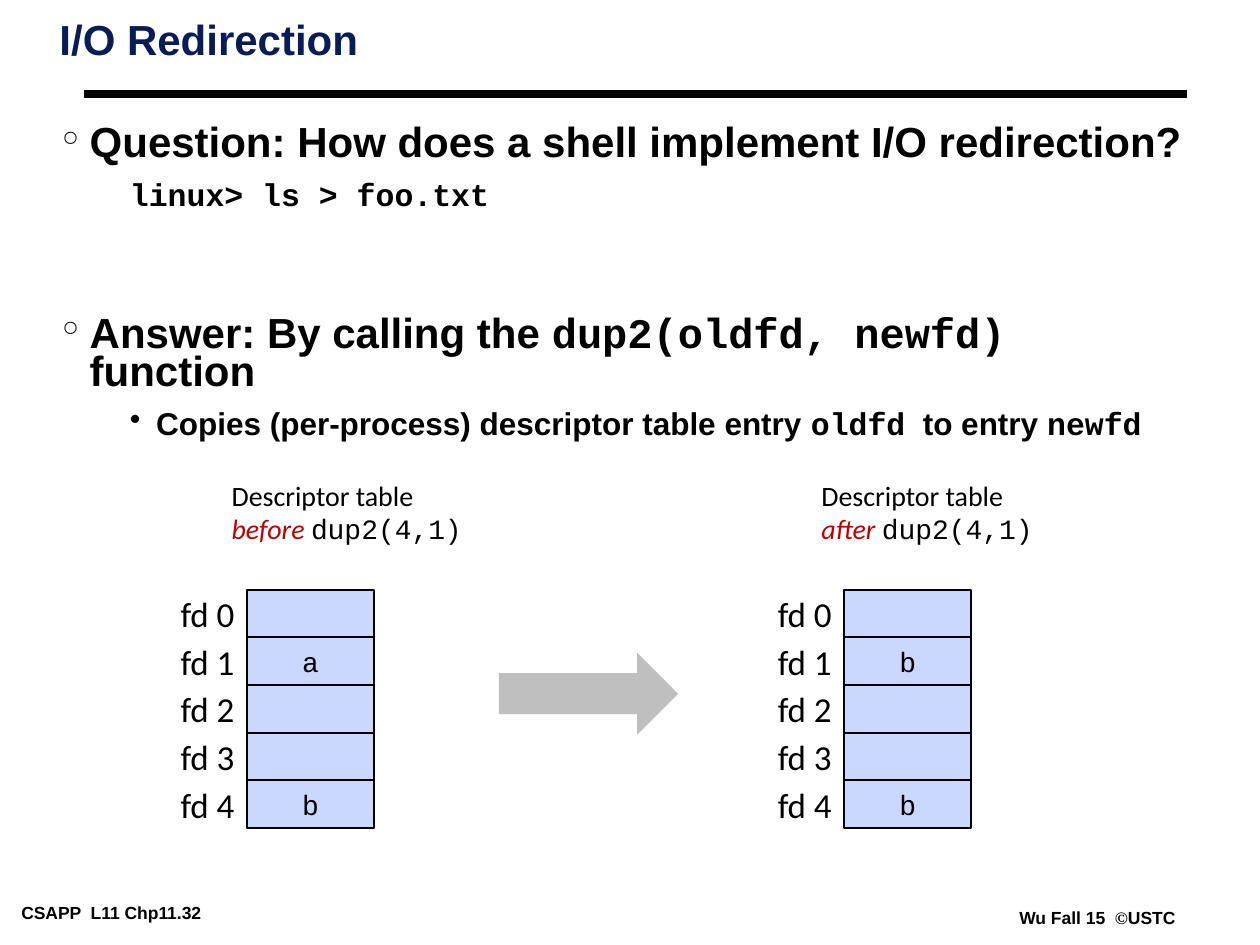
from lxml.etree import SubElement
from pptx import Presentation
from pptx.dml.color import RGBColor
from pptx.enum.shapes import MSO_CONNECTOR as Connector, MSO_SHAPE as Shape
from pptx.enum.text import MSO_ANCHOR as Anchor, PP_ALIGN as Align
from pptx.oxml.ns import qn
from pptx.util import Cm, Pt

BLACK = RGBColor(0x00, 0x00, 0x00)
NAVY = RGBColor(0x08, 0x1D, 0x58)
RED = RGBColor(0xC0, 0x00, 0x00)
PALE_BLUE = RGBColor(0xCA, 0xD7, 0xFE)
GREY = RGBColor(0xBF, 0xBF, 0xBF)

SANS, MONO, LABEL, SERIF = "Arial", "Courier New", "Calibri", "Times New Roman"

TABLE_TOP = 11.89
CELL_WIDTH, CELL_HEIGHT = 2.56, 0.96


def write_spans(para, spans, size, bold=False, color=BLACK):
    """Fill a paragraph from (text, font name) pairs."""
    for text, font_name in spans:
        span = para.add_run()
        span.text = text
        font = span.font
        font.name, font.size, font.bold = font_name, Pt(size), bold
        font.color.rgb = color


def set_insets(frame, side, end):
    frame.margin_left = frame.margin_right = Cm(side)
    frame.margin_top = frame.margin_bottom = Cm(end)


def add_text_box(page, left, top, width, height, wrap=False):
    frame = page.shapes.add_textbox(Cm(left), Cm(top), Cm(width), Cm(height)).text_frame
    frame.word_wrap = wrap
    set_insets(frame, 0.18, 0.08)
    return frame


def set_bullet(para, left, hanging, symbol):
    properties = para._p.get_or_add_pPr()
    properties.set("marL", str(Cm(left)))
    properties.set("indent", str(-Cm(hanging)))
    if symbol:
        color = SubElement(properties, qn("a:buClr"))
        SubElement(color, qn("a:srgbClr"), val=str(BLACK))
        SubElement(properties, qn("a:buChar"), char=symbol)
    else:
        SubElement(properties, qn("a:buNone"))


def add_heading(para, spans, space_before=None):
    set_bullet(para, 0.56, 0.56, "°")
    para.line_spacing = 0.75
    if space_before:
        para.space_before = Pt(space_before)
    write_spans(para, spans, 24, bold=True)


def add_detail(para, spans, symbol=None):
    para.level = 1
    set_bullet(para, 1.9, 0.53, symbol)
    para.line_spacing = 0.85
    para.space_before = Pt(9)
    write_spans(para, spans, 18, bold=True)


def add_title(page):
    para = add_text_box(page, 1.02, 0.33, 21.08, 2.11, wrap=True).paragraphs[0]
    para.line_spacing = 0.87
    write_spans(para, [("I/O Redirection", SANS)], 24, bold=True, color=NAVY)


def add_rule(page):
    rule = page.shapes.add_connector(
        Connector.STRAIGHT, Cm(1.7), Cm(1.9), Cm(23.93), Cm(1.9))
    rule.line.color.rgb = BLACK
    rule.line.width = Pt(4.5)
    SubElement(rule._element.spPr, qn("a:effectLst"))


def add_body(page):
    frame = add_text_box(page, 1.07, 2.49, 23.06, 6.68, wrap=True)
    add_heading(frame.paragraphs[0], [
        ("Question: How does a shell implement I/O redirection?", SANS)])
    add_detail(frame.add_paragraph(), [("linux> ls > foo.txt", MONO)])
    add_heading(frame.add_paragraph(), [
        ("Answer: By calling the ", SANS), ("dup2(oldfd, newfd) ", MONO),
        ("function", SANS)], space_before=60)
    add_detail(frame.add_paragraph(), [
        ("Copies (per-process) descriptor table entry ", SANS), ("oldfd", MONO),
        ("  to entry ", SANS), ("newfd", MONO)], symbol="•")


def add_cell(page, left, top, text):
    cell = page.shapes.add_shape(
        Shape.RECTANGLE, Cm(left), Cm(top), Cm(CELL_WIDTH), Cm(CELL_HEIGHT))
    cell.shadow.inherit = False
    cell.fill.solid()
    cell.fill.fore_color.rgb = PALE_BLUE
    cell.line.color.rgb = BLACK
    cell.line.width = Pt(1)
    if text:
        para = cell.text_frame.paragraphs[0]
        para.alignment = Align.CENTER
        write_spans(para, [(text, MONO)], 16)


def add_row_label(page, left, top, text):
    frame = add_text_box(page, left, top, CELL_WIDTH, CELL_HEIGHT)
    set_insets(frame, 0.25, 0.13)
    frame.vertical_anchor = Anchor.MIDDLE
    para = frame.paragraphs[0]
    para.alignment = Align.RIGHT
    write_spans(para, [(text, LABEL)], 20)


def add_caption(page, left, width, moment):
    frame = add_text_box(page, left, 9.5, width, 1.63)
    set_insets(frame, 0.25, 0.13)
    frame.vertical_anchor = Anchor.MIDDLE
    write_spans(frame.paragraphs[0], [("Descriptor table", LABEL)], 16)
    para = frame.add_paragraph()
    write_spans(para, [(moment + " ", LABEL)], 16, color=RED)
    para.runs[0].font.italic = True
    write_spans(para, [("dup2(4,1)", MONO)], 16)


def add_descriptor_table(page, left, entries):
    for index, entry in enumerate(entries):
        top = TABLE_TOP + index * CELL_HEIGHT
        add_cell(page, left, top, entry)
        add_row_label(page, left - CELL_WIDTH, top, f"fd {index}")


def add_arrow(page):
    arrow = page.shapes.add_shape(
        Shape.RIGHT_ARROW, Cm(10.06), Cm(13.16), Cm(3.61), Cm(1.65))
    arrow.shadow.inherit = False
    arrow.fill.solid()
    arrow.fill.fore_color.rgb = GREY
    arrow.line.fill.background()


def add_footer(page, left, top, width, spans):
    frame = add_text_box(page, left, top, width, 0.56)
    write_spans(frame.paragraphs[0], spans, 10, bold=True)


def main():
    deck = Presentation()
    deck.slide_width, deck.slide_height = Cm(25.4), Cm(19.05)
    page = deck.slides.add_slide(deck.slide_layouts[6])
    add_footer(page, 0.25, 18.11, 5.33, [("CSAPP  L11 Chp11.32", SANS)])
    add_footer(page, 20.37, 18.21, 3.51, [
        ("Wu Fall 15  ", SANS), ("©", SERIF), ("USTC", SANS)])
    add_rule(page)
    add_title(page)
    add_body(page)
    add_descriptor_table(page, 4.98, ["", "a", "", "", "b"])
    add_caption(page, 4.42, 5.16, "before")
    add_descriptor_table(page, 17.02, ["", "b", "", "", "b"])
    add_caption(page, 16.31, 4.78, "after")
    add_arrow(page)
    deck.save("out.pptx")


if __name__ == "__main__":
    main()
